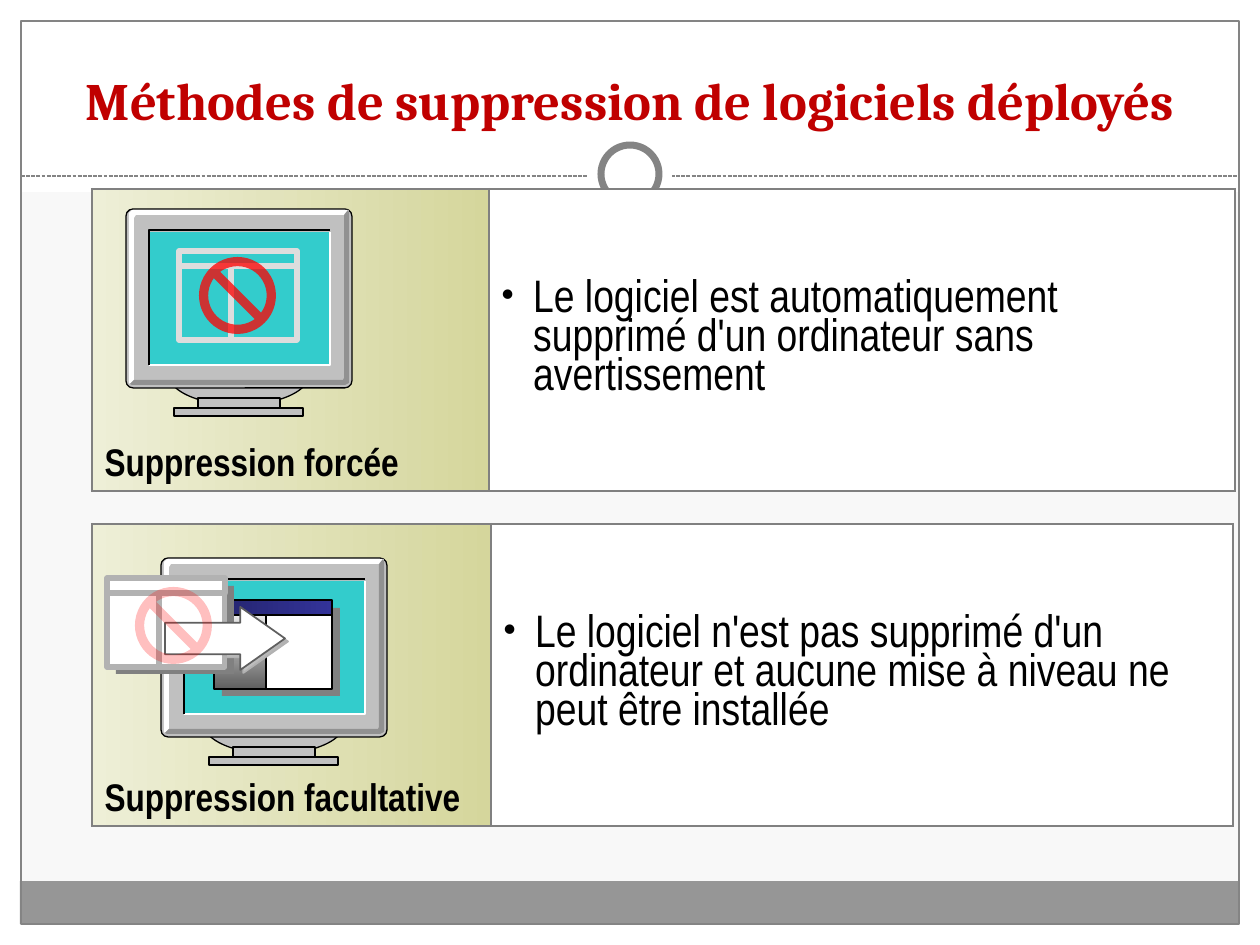
from dataclasses import dataclass
from typing import NamedTuple, Optional

from lxml import etree
from pptx import Presentation
from pptx import util as u
from pptx.dml import color
from pptx.enum import shapes, text
from pptx.enum import dml
from pptx.oxml import ns

SCALE = 914400 / 126
COLORS = {
    "page": "F8F8F8", "white": "FFFFFF", "black": "000000", "frame": "848484",
    "footer": "969696", "title": "C00000", "border": "808080", "casing": "C0C0C0",
    "screen": "33CCCC", "shade": "919191", "ghost": "DDDDDD", "silver": "B2B2B2",
    "pale": "EAEAEA", "dark": "5F5F5F", "navy": "24246D", "blue": "333399",
    "cream": "EEEFD7", "olive": "D5D69C", "ban": "FF0000",
}
SHAPE = shapes.MSO_SHAPE
HIGHLIGHT = [(219, 1), (6, 1), (3, 4), (3, 174), (4, 175), (8, 171), (8, 9),
             (10, 6), (219, 6), (223, 1)]
SHADE = [(6, 176), (219, 176), (223, 174), (223, 4), (222, 1), (218, 6),
         (218, 169), (217, 171), (8, 171), (4, 175)]


class Box(NamedTuple):
    x: int
    y: int
    w: int
    h: int

    def shift(self, dx: int, dy: int) -> "Box":
        return Box(self.x + dx, self.y + dy, self.w, self.h)


class Gradient(NamedTuple):
    start: str
    end: str
    angle: int = 0


@dataclass
class Style:
    fill: Optional[str | Gradient] = None
    line: Optional[str] = None
    width: float = 0.75


@dataclass
class Panel:
    y: int
    columns: tuple
    label: str
    body: str


PANELS = [
    Panel(189, (397, 746), "Suppression forcée",
          "Le logiciel est automatiquement supprimé d'un ordinateur sans avertissement"),
    Panel(524, (399, 742), "Suppression facultative",
          "Le logiciel n'est pas supprimé d'un ordinateur et aucune mise à niveau ne \v"
          "peut être installée"),
]
WHITE = Style("white")
METAL = Style("casing", "black")
SCREEN = Style("screen")
GHOST = Style("screen", "ghost", 3)
FADED = Style("white", "silver", 3)
BAR = Style(Gradient("navy", "blue"), "black", 1)
SIDE = Style(Gradient("pale", "dark", 270), "black", 1)
PAGE = Style("white", "black", 1)


def px(n: float) -> u.Emu:
    return u.Emu(round(n * SCALE))


def rgb(name: str) -> color.RGBColor:
    return color.RGBColor.from_string(COLORS[name])


def paint(fill, value) -> None:
    if value is None:
        fill.background()
    elif isinstance(value, Gradient):
        fill.gradient()
        fill.gradient_angle = value.angle
        for stop, name in zip(fill.gradient_stops, value[:2]):
            stop.color.rgb = rgb(name)
    else:
        fill.solid()
        fill.fore_color.rgb = rgb(value)


def apply(sp, style: Style):
    sp.shadow.inherit = False
    paint(sp.fill, style.fill)
    paint(sp.line.fill, style.line)
    if style.line:
        sp.line.width = u.Pt(style.width)
    return sp


def draw(s, box: Box, style: Style, kind=SHAPE.RECTANGLE, adj=()):
    sp = s.shapes.add_shape(kind, *map(px, box))
    for i, value in enumerate(adj):
        sp.adjustments[i] = value
    return apply(sp, style)


def outline(s, points, x: int, y: int, style: Style, close: bool) -> None:
    (x0, y0), *rest = [(px(x + a), px(y + b)) for a, b in points]
    builder = s.shapes.build_freeform(x0, y0, 1.0)
    builder.add_line_segments(rest, close=close)
    apply(builder.convert_to_shape(), style)


def monitor(s, x: int, y: int) -> None:
    draw(s, Box(43, 136, 140, 60).shift(x, y), METAL, SHAPE.OVAL)
    draw(s, Box(72, 189, 82, 11).shift(x, y), METAL)
    draw(s, Box(48, 199, 129, 8).shift(x, y), METAL)
    draw(s, Box(0, 0, 226, 179).shift(x, y), METAL, SHAPE.ROUNDED_RECTANGLE, [0.04])
    draw(s, Box(23, 23, 181, 132).shift(x, y), SCREEN)
    outline(s, [(204, 23), (204, 156), (23, 156)], x, y, Style(None, "white", 1), False)
    outline(s, [(23, 156), (23, 21), (204, 21)], x, y, Style(None, "black", 1), False)
    outline(s, HIGHLIGHT, x, y, WHITE, True)
    outline(s, SHADE, x, y, Style("shade"), True)


def window(s, x: int, y: int, bar: Style, side: Style, page: Style,
           shadow: bool = False) -> None:
    if shadow:
        draw(s, Box(8, 8, 118, 88).shift(x, y), Style("border"))
    draw(s, Box(0, 0, 118, 15).shift(x, y), bar)
    draw(s, Box(0, 15, 52, 74).shift(x, y), side)
    draw(s, Box(52, 15, 66, 74).shift(x, y), page)


def ban_sign(s, x: int, y: int, opacity: int) -> None:
    sp = draw(s, Box(x, y, 77, 77), Style("ban"), SHAPE.NO_SYMBOL, [0.12])
    clr = sp.element.spPr.find(".//" + ns.qn("a:srgbClr"))
    etree.SubElement(clr, ns.qn("a:alpha"), val=str(opacity * 1000))


def border(cell) -> None:
    tc_pr = cell._tc.get_or_add_tcPr()
    for i, side in enumerate("LRTB"):
        ln = etree.Element(ns.qn(f"a:ln{side}"), w=str(u.Pt(1.5)))
        fill = etree.SubElement(ln, ns.qn("a:solidFill"))
        etree.SubElement(fill, ns.qn("a:srgbClr"), val=COLORS["border"])
        tc_pr.insert(i, ln)


def bullet(p) -> None:
    p_pr = p._p.get_or_add_pPr()
    p_pr.set("marL", str(u.Inches(0.25)))
    p_pr.set("indent", str(-u.Inches(0.25)))
    etree.SubElement(p_pr, ns.qn("a:buSzPct"), val="80000")
    etree.SubElement(p_pr, ns.qn("a:buChar"), char="•")
    p.line_spacing = 0.9


def panel_table(s, panel: Panel) -> None:
    table = s.shapes.add_table(1, 2, px(92), px(panel.y), px(sum(panel.columns)), px(302)).table
    table.first_row = table.horz_banding = False
    for column, width in zip(table.columns, panel.columns):
        column.width = px(width)
    looks = [(panel.label, Gradient("cream", "olive"), text.MSO_ANCHOR.BOTTOM, 22, True),
             (panel.body, "white", text.MSO_ANCHOR.MIDDLE, 26, False)]
    for cell, (words, fill, anchor, size, bold) in zip(table.rows[0].cells, looks):
        paint(cell.fill, fill)
        border(cell)
        cell.vertical_anchor = anchor
        p = cell.text_frame.paragraphs[0]
        p.text = words
        if not bold:
            bullet(p)
        set_font(p, "Arial Narrow", size, "black", bold)


def set_font(p, name: str, size: int, ink: str, bold: bool) -> None:
    p.font.name = name
    p.font.size = u.Pt(size)
    p.font.bold = bold
    p.font.color.rgb = rgb(ink)


def backdrop(s) -> None:
    paint(s.background.fill, "page")
    for box in (Box(0, 924, 1260, 21), Box(0, 0, 1260, 192),
                Box(0, 0, 21, 945), Box(1239, 0, 21, 945)):
        draw(s, box, WHITE)
    draw(s, Box(20, 881, 1218, 43), Style("footer"))
    draw(s, Box(21, 21, 1218, 903), Style(None, "frame"))
    rule = s.shapes.add_connector(shapes.MSO_CONNECTOR.STRAIGHT, px(21), px(176), px(1239), px(176))
    paint(rule.line.fill, "frame")
    rule.line.width = u.Pt(0.75)
    rule.line.dash_style = dml.MSO_LINE.SQUARE_DOT
    etree.SubElement(rule.element.spPr, ns.qn("a:effectLst"))
    draw(s, Box(588, 132, 84, 84), WHITE, SHAPE.OVAL)
    draw(s, Box(601, 145, 58, 58), Style("white", "frame", 4), SHAPE.OVAL)


def heading(s) -> None:
    sp = s.shapes.title
    s.shapes.element.append(sp.element)
    sp.left, sp.top, sp.width, sp.height = map(px, Box(42, 32, 1176, 105))
    tf = sp.text_frame
    tf.text = "Méthodes de suppression de logiciels déployés"
    tf.vertical_anchor = text.MSO_ANCHOR.BOTTOM
    tf.auto_size = text.MSO_AUTO_SIZE.NONE
    p = tf.paragraphs[0]
    p.alignment = text.PP_ALIGN.CENTER
    set_font(p, "Cambria", 30, "title", True)


def main() -> None:
    prs = Presentation()
    prs.slide_width, prs.slide_height = px(1260), px(945)
    s = prs.slides.add_slide(prs.slide_layouts[5])
    backdrop(s)
    heading(s)
    for panel in PANELS:
        panel_table(s, panel)
    monitor(s, 126, 209)
    draw(s, Box(158, 241, 158, 116), SCREEN)
    window(s, 179, 251, GHOST, GHOST, GHOST)
    ban_sign(s, 199, 257, 75)
    monitor(s, 161, 558)
    for x, y in ((214, 600), (108, 578)):
        window(s, x, y, BAR, SIDE, PAGE, shadow=True)
    draw(s, Box(130, 610, 158, 63), Style(Gradient("pale", "silver"), "silver", 1),
         SHAPE.RIGHT_ARROW, [0.5, 0.71])
    window(s, 107, 578, FADED, FADED, FADED)
    draw(s, Box(165, 607, 120, 63), Style("white", "dark", 1), SHAPE.RIGHT_ARROW, [0.5, 0.71])
    ban_sign(s, 135, 587, 25)
    prs.save("out.pptx")


if __name__ == "__main__":
    main()
